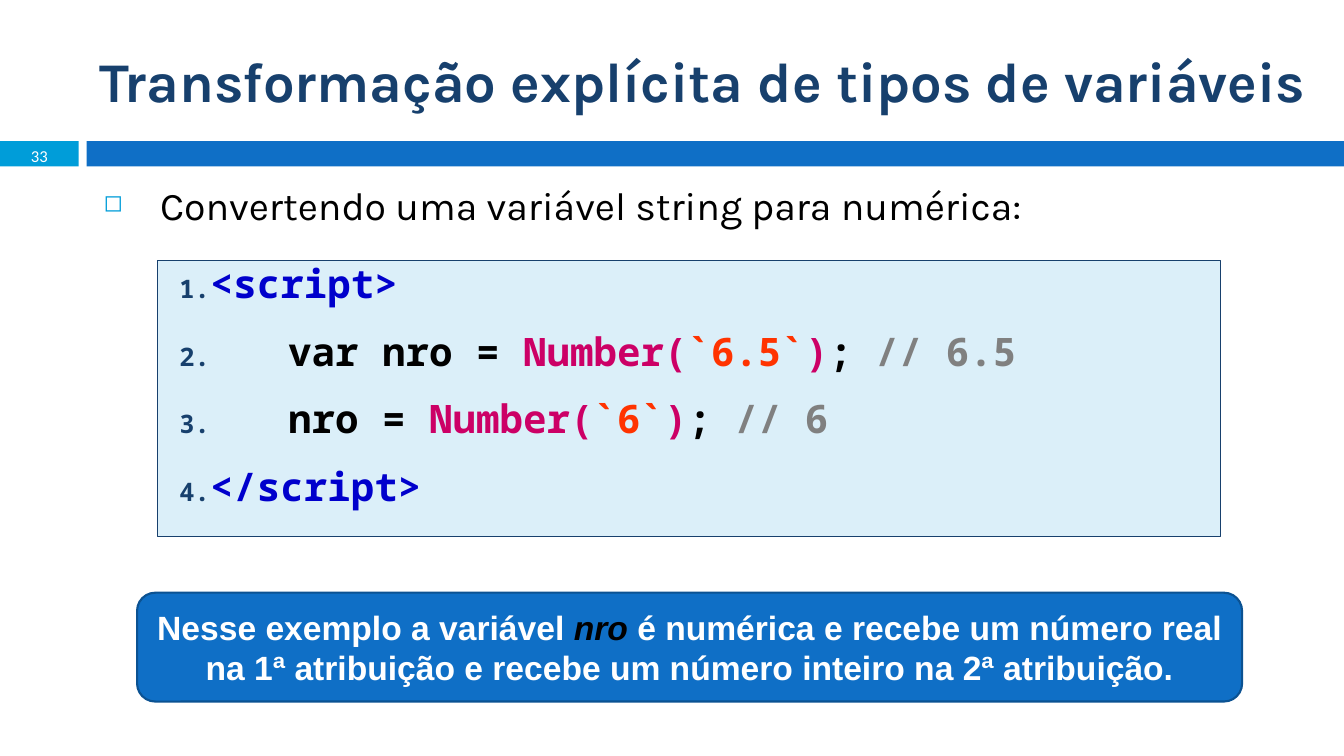
from lxml import etree
from pptx import Presentation, util as u
from pptx.dml.color import RGBColor
from pptx.enum import shapes, text
from pptx.oxml import ns

WHITE = RGBColor(0xFF, 0xFF, 0xFF)
BLACK = RGBColor(0x00, 0x00, 0x00)
NAVY = RGBColor(0x17, 0x40, 0x6D)
BLUE = RGBColor(0x0F, 0x6F, 0xC6)
DARK_BLUE = RGBColor(0x0B, 0x52, 0x92)
CYAN = RGBColor(0x00, 0x9D, 0xD9)
PALE_BLUE = RGBColor(0xDB, 0xEF, 0xF9)
TAG = RGBColor(0x00, 0x00, 0xCC)
CALL = RGBColor(0xCC, 0x00, 0x66)
LITERAL = RGBColor(0xFF, 0x33, 0x00)
COMMENT = RGBColor(0x80, 0x80, 0x80)

RECT = shapes.MSO_SHAPE.RECTANGLE
ROUNDED = shapes.MSO_SHAPE.ROUNDED_RECTANGLE
LEFT, CENTER = text.PP_ALIGN.LEFT, text.PP_ALIGN.CENTER
TOP, MIDDLE = text.MSO_ANCHOR.TOP, text.MSO_ANCHOR.MIDDLE


class SlideBuilder:
    def __init__(self, slide):
        self.slide = slide

    def shape(self, kind, area, fill, line=None, line_width=1):
        box = self.slide.shapes.add_shape(kind, *map(u.Inches, area))
        box.shadow.inherit = False
        box.fill.solid()
        box.fill.fore_color.rgb = fill
        if line is None:
            box.line.fill.background()
        else:
            box.line.color.rgb = line
            box.line.width = u.Pt(line_width)
        return box

    def text_box(self, area):
        return self.slide.shapes.add_textbox(*map(u.Inches, area))

    def set_lines(self, box, lines, font, size, bold=False, align=LEFT, anchor=TOP):
        """Each line is a list of (words, colour) spans."""
        frame = box.text_frame
        frame.word_wrap = True
        frame.vertical_anchor = anchor
        frame.text = "\n".join("" for _ in lines)
        for para, spans in zip(frame.paragraphs, lines):
            para.alignment = align
            for words, color in spans:
                span = para.add_run()
                span.text = words
                span.font.name = font
                span.font.size = u.Pt(size)
                span.font.bold = bold
                span.font.color.rgb = color
        return frame.paragraphs

    def bullet(self, para, margin, indent, color, percent, tag, **mark):
        props = para._p.get_or_add_pPr()
        props.set("marL", str(u.Inches(margin)))
        props.set("indent", str(u.Inches(indent)))
        bullet_color = etree.SubElement(props, ns.qn("a:buClr"))
        etree.SubElement(bullet_color, ns.qn("a:srgbClr"), val=str(color))
        etree.SubElement(props, ns.qn("a:buSzPct"), val=str(percent * 1000))
        etree.SubElement(props, ns.qn(tag), **mark)


def main():
    deck = Presentation()
    deck.slide_width, deck.slide_height = u.Inches(13.33), u.Inches(7.5)
    page = SlideBuilder(deck.slides.add_slide(deck.slide_layouts[6]))

    # Header band
    page.shape(RECT, (0, 1.4, 0.78, 0.25), CYAN)
    page.shape(RECT, (0.86, 1.4, 12.47, 0.25), BLUE)

    # Title
    title = page.text_box((0.89, 0.25, 12.23, 1.08))
    page.set_lines(title, [[("Transformação explícita de tipos de variáveis", NAVY)]],
                   "Karla", 40, bold=True, anchor=MIDDLE)

    # Topic
    topic = page.text_box((0.89, 1.75, 11.89, 0.6))
    topic_line = page.set_lines(
        topic, [[("Convertendo uma variável string para numérica:", BLACK)]], "Karla", 28)[0]
    page.bullet(topic_line, 0.6, -0.56, CYAN, 60, "a:buChar", char="◻")

    # Page number
    number = page.text_box((0, 1.41, 0.78, 0.27))
    page.set_lines(number, [[("33", WHITE)]], "Calibri", 11.9, align=CENTER, anchor=MIDDLE)

    # Numbered code: text margin of each line, then its spans
    code = [
        (0.39, [("<script>", TAG)]),
        (1.2, [("var nro = ", BLACK), ("Number(", CALL), ("`6.5`", LITERAL),
               (")", CALL), (";", BLACK), (" // 6.5", COMMENT)]),
        (1.2, [("nro = ", BLACK), ("Number(", CALL), ("`6`", LITERAL),
               (")", CALL), ("; ", BLACK), ("// 6", COMMENT)]),
        (0.39, [("</script>", TAG)]),
    ]
    listing = page.shape(RECT, (1.56, 2.58, 10.55, 2.74), PALE_BLUE, NAVY, 0.75)
    code_lines = page.set_lines(listing, [spans for _, spans in code],
                                "Noto Sans Mono", 28, bold=True)
    for para, (margin, _) in zip(code_lines, code):
        para.line_spacing = 0.9
        para.space_before, para.space_after = u.Pt(12), u.Pt(6)
        page.bullet(para, margin, 0.12 - margin, NAVY, 65,
                    "a:buAutoNum", type="arabicPeriod")

    # Explanation
    callout = page.shape(ROUNDED, (1.36, 5.88, 10.96, 1.08), BLUE, DARK_BLUE, 1.5)
    explanation = page.set_lines(callout, [[
        ("Nesse exemplo a variável ", WHITE), ("nro ", BLACK),
        ("é numérica e recebe um número real na 1ª atribuição e recebe "
         "um número inteiro na 2ª atribuição.", WHITE),
    ]], "Arial", 24, bold=True, align=CENTER, anchor=MIDDLE)[0]
    explanation.runs[1].font.italic = True

    deck.save("out.pptx")


if __name__ == "__main__":
    main()
